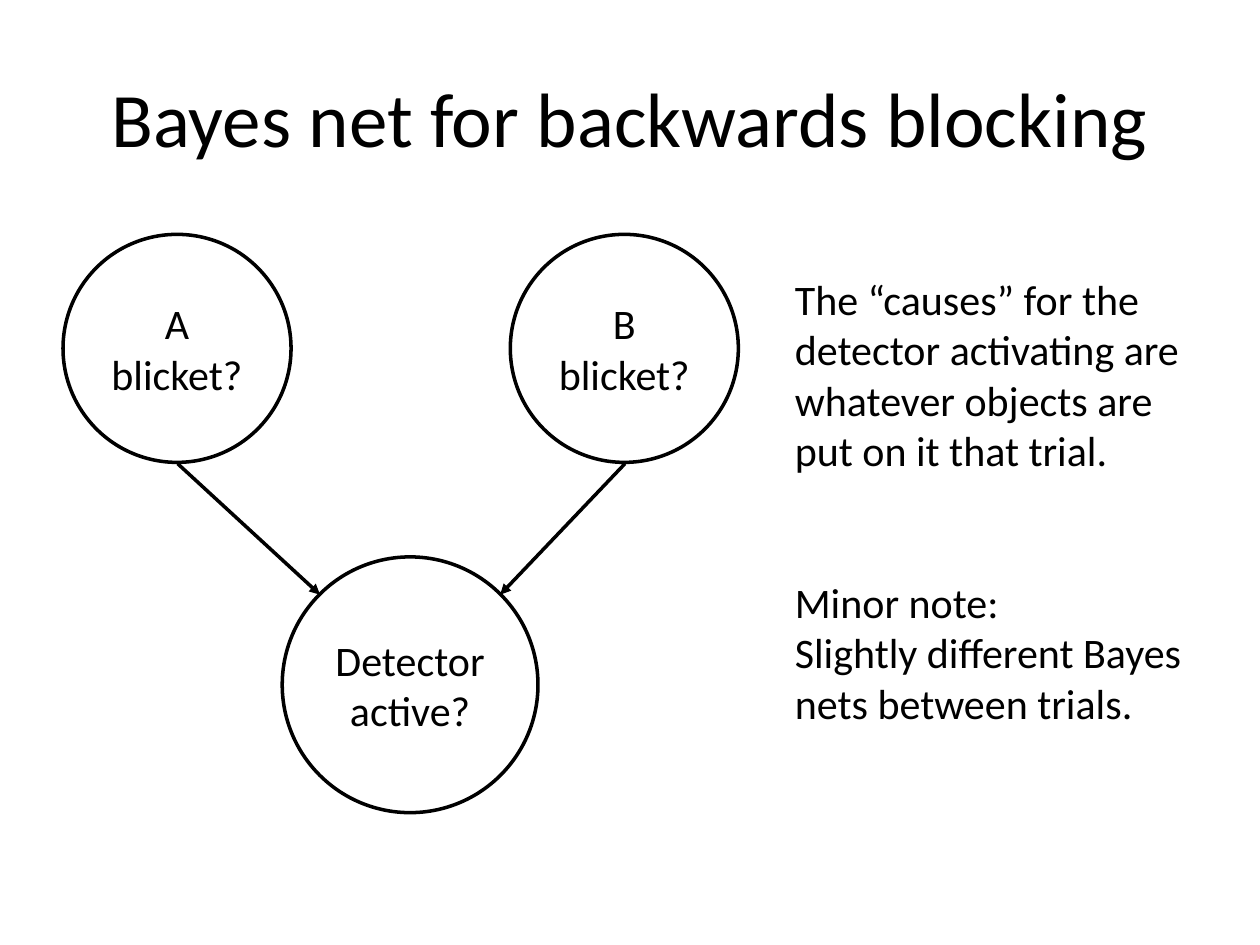
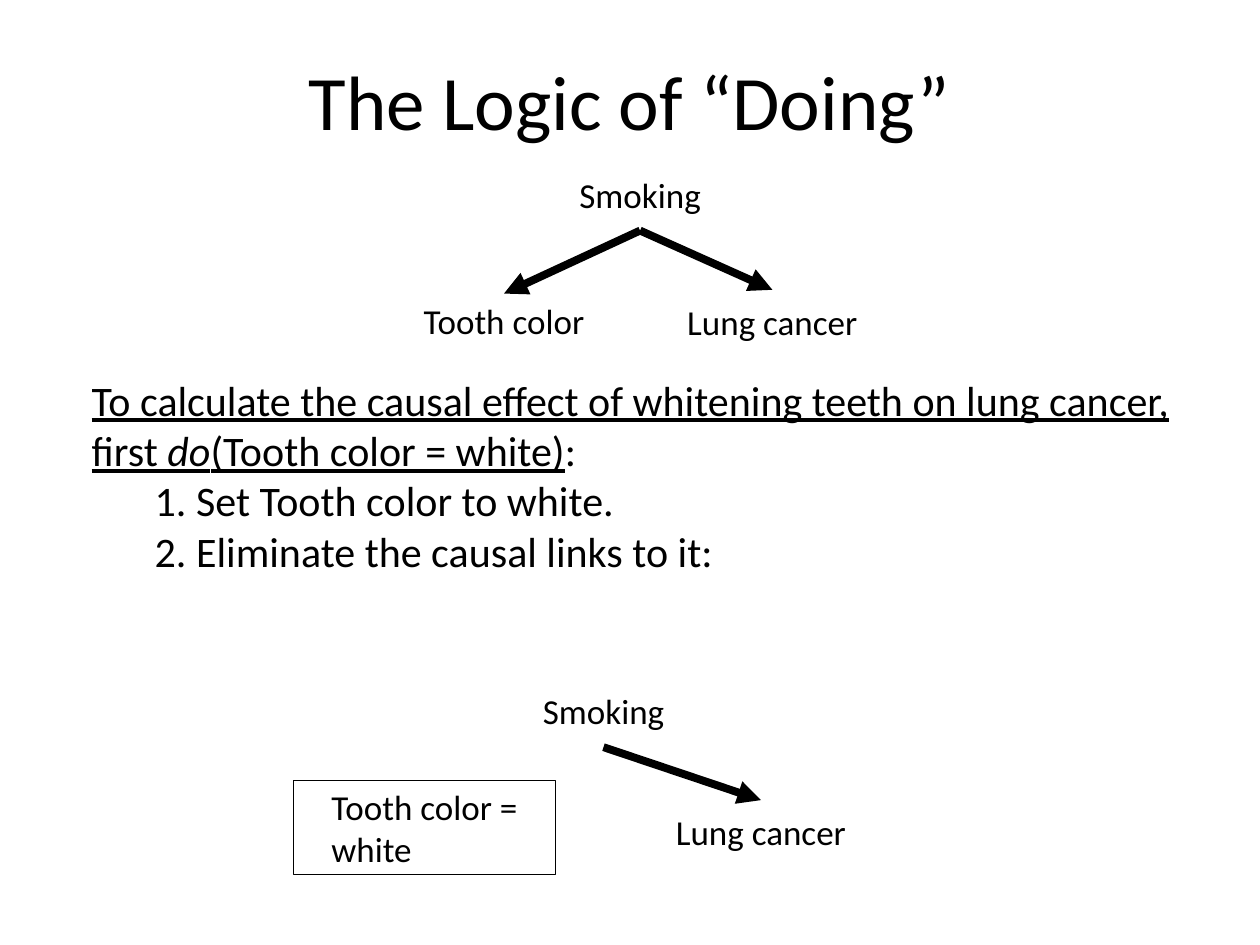
from lxml import etree
from pptx import Presentation
from pptx.dml.color import RGBColor
from pptx.enum.shapes import MSO_CONNECTOR, MSO_SHAPE
from pptx.enum.text import MSO_ANCHOR, PP_ALIGN
from pptx.oxml.ns import qn
from pptx.util import Pt

BLACK = RGBColor(0, 0, 0)
WHITE = RGBColor(255, 255, 255)
FONT = "Calibri"
PX = 9144
LEFT, CENTER = PP_ALIGN.LEFT, PP_ALIGN.CENTER
TOP, MIDDLE = MSO_ANCHOR.TOP, MSO_ANCHOR.MIDDLE
OVAL, RECT = MSO_SHAPE.OVAL, MSO_SHAPE.RECTANGLE
STRAIGHT = MSO_CONNECTOR.STRAIGHT
ABOVE, BELOW = 0, 2


class Deck:
    def __init__(self, wide, high):
        self.prs = Presentation()
        self.prs.slide_width = wide * PX
        self.prs.slide_height = high * PX

    def page(self, title, box):
        self.slide = self.prs.slides.add_slide(self.prs.slide_layouts[6])
        self.text(box, [title], 44, CENTER, MIDDLE)

    def put(self, shape, paras, size, align, anchor):
        frame = shape.text_frame
        frame.word_wrap = True
        frame.vertical_anchor = anchor
        for i, words in enumerate(paras):
            para = frame.add_paragraph() if i else frame.paragraphs[0]
            para.alignment = align
            font = para.font
            font.name, font.size = FONT, Pt(size)
            font.color.rgb = BLACK
            para.add_run().text = words
        return frame

    def text(self, box, paras, size, align=LEFT, anchor=TOP):
        shape = self.slide.shapes.add_textbox(*[n * PX for n in box])
        self.put(shape, paras, size, align, anchor)
        return shape

    def label(self, box, words):
        return self.text(box, [words], 20, CENTER, MIDDLE)

    def shape(self, kind, box, words, size, width, align=CENTER, fill=None):
        shape = self.slide.shapes.add_shape(kind, *[n * PX for n in box])
        shape.shadow.inherit = False
        if fill is None:
            shape.fill.background()
        else:
            shape.fill.solid()
            shape.fill.fore_color.rgb = fill
        shape.line.color.rgb = BLACK
        shape.line.width = Pt(width)
        return self.put(shape, [words], size, align, MIDDLE)

    def arrow(self, start, end, width):
        line = self.slide.shapes.add_connector(
            STRAIGHT, *[n * PX for n in start + end])
        line.line.color.rgb = BLACK
        line.line.width = Pt(width)
        props = line._element.spPr
        tail = etree.SubElement(props.find(qn("a:ln")), qn("a:tailEnd"))
        tail.set("type", "triangle")
        etree.SubElement(props, qn("a:effectLst"))
        return line

    def link(self, cause, effect):
        line = self.arrow((0, 0), (0, 0), 4.5)
        line.begin_connect(cause, BELOW)
        line.end_connect(effect, ABOVE)


def blocking(deck):
    deck.page("Bayes net for backwards blocking", (50, 30, 900, 125))
    for left, top, size, words in ((50, 186, 181, "A blicket?"),
                                   (405, 186, 181, "B blicket?"),
                                   (224, 442, 203, "Detector active?")):
        deck.shape(OVAL, (left, top, size, size), words, 24, 2, fill=WHITE)
    deck.arrow((141, 368), (254, 472), 2)
    deck.arrow((496, 368), (397, 472), 2)
    notes = deck.text((621, 212, 345, 374), [
        "The “causes” for the detector activating are whatever objects "
        "are put on it that trial.",
        "Minor note:",
        "Slightly different Bayes nets between trials."], 24)
    notes.text_frame.paragraphs[1].space_before = Pt(58)


def doing(deck):
    deck.page("The Logic of “Doing”", (75, 33, 850, 92))
    steps = deck.text((25, 292, 933, 172), [
        "To calculate the causal effect of whitening teeth on lung cancer, "
        "first ",
        "1. Set Tooth color to white.",
        "2. Eliminate the causal links to it:"], 24)
    paras = steps.text_frame.paragraphs
    first = paras[0]
    for words in ("do", "(Tooth color = white)", ":"):
        first.add_run().text = words
    for run in first.runs[:3]:
        run.font.underline = True
    first.runs[1].font.italic = True
    for para, left in zip(paras, (38, 88, 88)):
        para._p.get_or_add_pPr().set("marL", str(left * PX))

    cancer = deck.label((517, 230, 192, 50), "Lung cancer")
    tooth = deck.label((304, 233, 192, 42), "Tooth color")
    smoking = deck.label((429, 125, 158, 58), "Smoking")
    deck.link(smoking, tooth)
    deck.link(smoking, cancer)

    cancer = deck.label((508, 635, 192, 50), "Lung cancer")
    smoking = deck.label((400, 535, 158, 58), "Smoking")
    deck.link(smoking, cancer)
    fixed = deck.shape(RECT, (233, 619, 208, 75), "Tooth color = white",
                       20, 0.5, LEFT)
    fixed.margin_left = 30 * PX


def main():
    deck = Deck(1000, 750)
    blocking(deck)
    doing(deck)
    deck.prs.save("out.pptx")


if __name__ == "__main__":
    main()
